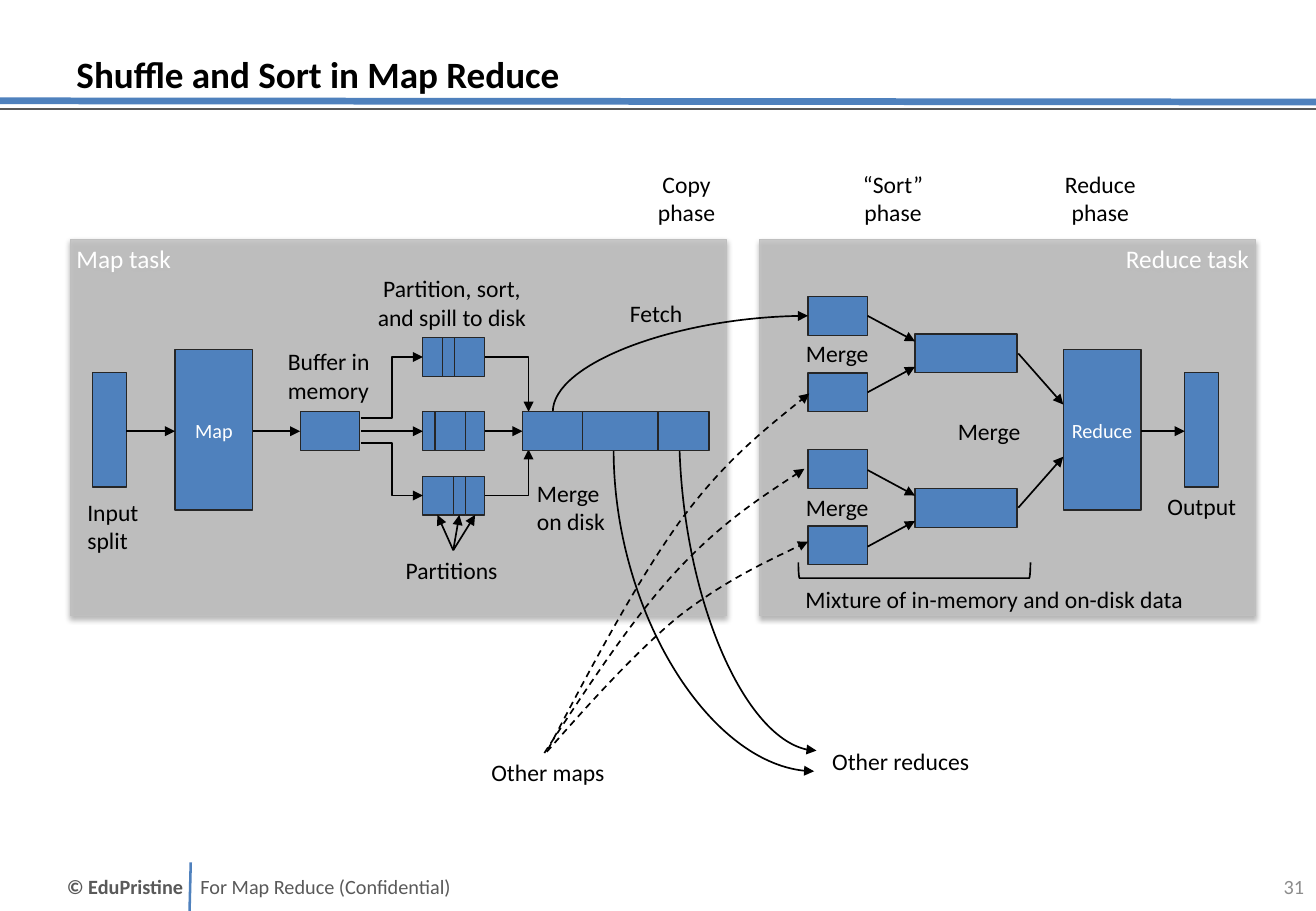
from lxml import etree
from pptx import Presentation
from pptx.dml.color import RGBColor
from pptx.enum.dml import MSO_LINE
from pptx.enum.shapes import MSO_CONNECTOR, MSO_SHAPE
from pptx.enum.text import MSO_ANCHOR, PP_ALIGN
from pptx.oxml.ns import qn
from pptx.util import Inches, Pt

BLUE = RGBColor(0x4F, 0x81, 0xBD)
GREY = RGBColor(0xBF, 0xBF, 0xBF)
SLATE = RGBColor(0x59, 0x59, 0x59)
PALE = RGBColor(0x8C, 0x8C, 0x8C)
EDGE = RGBColor(0x26, 0x26, 0x26)
BLACK = RGBColor(0, 0, 0)
WHITE = RGBColor(0xFF, 0xFF, 0xFF)
LEFT, MID, RIGHT = PP_ALIGN.LEFT, PP_ALIGN.CENTER, PP_ALIGN.RIGHT
TOP, CENTRE, BASE = MSO_ANCHOR.TOP, MSO_ANCHOR.MIDDLE, MSO_ANCHOR.BOTTOM
RECT, BRACKET = MSO_SHAPE.RECTANGLE, MSO_SHAPE.LEFT_BRACKET
LINE, ELBOW, CURVE = MSO_CONNECTOR.STRAIGHT, MSO_CONNECTOR.ELBOW, MSO_CONNECTOR.CURVE
DASH = MSO_LINE.DASH
FONT = "Calibri"
COLS, ROWS = 108.3, 75  # grid of square cells
CELL = 0.1  # inches


def grid(*cells):
    return [Inches(n * CELL) for n in cells]


def add(parent, tag, **attrs):
    return etree.SubElement(parent, qn(tag), {k: str(v) for k, v in attrs.items()})


def write(frame, text, size=14, color=BLACK, bold=False, align=LEFT, anchor=TOP,
          pad=(1, 0.5), wrap=False, lead=None):
    """Fill a text frame; pad is (side, top and bottom) in cells."""
    frame.word_wrap = wrap
    frame.vertical_anchor = anchor
    frame.margin_left = frame.margin_right = grid(pad[0])[0]
    frame.margin_top = frame.margin_bottom = grid(pad[1])[0]
    para = frame.paragraphs[0]
    para.text = text
    para.alignment = align
    if lead:
        para.line_spacing = Pt(lead)
    for run in para.runs:
        run.font.name = FONT
        run.font.size = Pt(size)
        run.font.bold = bold
        run.font.color.rgb = color


class Board:
    def __init__(self):
        self.deck = Presentation()
        self.deck.slide_width, self.deck.slide_height = grid(COLS, ROWS)
        self.slide = self.deck.slides.add_slide(self.deck.slide_layouts[6])
        self.shapes = self.slide.shapes

    def label(self, x, y, w, h, text, **style):
        write(self.shapes.add_textbox(*grid(x, y, w, h)).text_frame, text, **style)

    def box(self, x, y, w, h, text="", fill=BLUE, edge=EDGE, **style):
        shape = self.shapes.add_shape(RECT, *grid(x, y, w, h))
        shape.shadow.inherit = False
        shape.fill.solid()
        shape.fill.fore_color.rgb = fill
        shape.line.color.rgb = edge
        shape.line.width = Pt(0.75)
        if text:
            write(shape.text_frame, text, color=WHITE, wrap=True, **style)
        return shape

    def panel(self, x, y, w, h, text, align):
        """A translucent task area with a soft shadow below."""
        prop = self.box(x, y, w, h, text, GREY, GREY, size=15, align=align,
                        pad=(0.5, 0.3)).element.spPr
        add(prop.find(".//" + qn("a:srgbClr")), "a:alpha", val=80000)
        glow = add(prop.find(qn("a:effectLst")), "a:outerShdw", blurRad=Pt(3.1),
                   dist=Pt(1.8), dir=5400000, rotWithShape=0)
        add(add(glow, "a:srgbClr", val="000000"), "a:alpha", val=35000)

    def strip(self, x, y, widths):
        """Boxes side by side, one per width."""
        for n, w in enumerate(widths):
            self.box(x + sum(widths[:n]), y, w, 3.2)

    def stroke(self, shape, color=BLACK, width=1, end=None, dash=None):
        shape.line.color.rgb = color
        shape.line.width = Pt(width)
        if dash:
            shape.line.dash_style = dash
        if end:
            add(shape.element.spPr.find(qn("a:ln")), end, type="triangle")

    def link(self, x1, y1, x2, y2, kind=LINE, form=None, end="a:tailEnd", **style):
        wire = self.shapes.add_connector(kind, *grid(x1, y1, x2, y2))
        if form:
            wire.element.spPr.find(qn("a:prstGeom")).set("prst", form)
        self.stroke(wire, end=end, **style)
        add(wire.element.spPr, "a:effectLst")

    def sweep(self, start, *points):
        """A dashed arrow of cubic curves, three points to a curve."""
        pen = self.shapes.build_freeform(*grid(*start))
        pen.add_line_segments([grid(*p) for p in points], close=False)
        shape = pen.convert_to_shape()
        shape.shadow.inherit = False
        shape.fill.background()
        self.stroke(shape, end="a:tailEnd", dash=DASH)
        trace = next(shape.element.iter(qn("a:path")))
        steps = trace.findall(qn("a:lnTo"))
        for n in range(0, len(steps), 3):
            cubic = add(trace, "a:cubicBezTo")
            for step in steps[n:n + 3]:
                cubic.append(step[0])
                trace.remove(step)

    def bracket(self, x, y, w, h, turn):
        shape = self.shapes.add_shape(BRACKET, *grid(x, y, w, h))
        shape.rotation = turn
        shape.shadow.inherit = False
        shape.fill.background()
        self.stroke(shape)


def frame(b):
    """Title, rules and footer."""
    b.label(5.5, 71, 15.3, 4, "© EduPristine", size=12, color=SLATE, bold=True,
            anchor=CENTRE, pad=(0, 0.5), wrap=True)
    b.link(15.7, 71, 15.6, 75, color=BLUE, width=1.5, end=None)
    b.label(16.5, 71, 34.3, 4, "For Map Reduce (Confidential)", size=12, color=SLATE,
            anchor=CENTRE, pad=(0, 0.5), wrap=True)
    b.link(0, 8.3, COLS, 8.4, color=BLUE, width=4, end=None)
    b.link(0, 9, COLS, 9, color=SLATE, end=None)
    b.label(5.8, 0.7, 88.6, 7.7, "Shuffle and Sort in Map Reduce", size=22, bold=True,
            anchor=BASE, pad=(0.5, 0.5), wrap=True, lead=22)
    b.label(102.9, 71, 5.4, 4, "31", size=12, color=PALE, align=RIGHT, anchor=CENTRE, wrap=True)


def tasks(b):
    """Both task areas, with their boxes and arrows."""
    b.panel(5.8, 19.7, 54, 31, "Map task", LEFT)
    b.panel(62.5, 19.7, 40.8, 31, "Reduce task", RIGHT)
    for x in (7.6, 97.5):
        b.box(x, 30.7, 2.8, 9.4)
    for x, name in ((14.4, "Map"), (87.5, "Reduce")):
        b.box(x, 28.8, 6.4, 13.2, name, size=12, align=MID, anchor=CENTRE, pad=(0.2, 0.5))
    b.box(24.7, 33.9, 4.9, 3.2)
    for y, widths in ((27.8, (1.6, 1, 2.5)), (33.9, (1, 2.5, 1.6)), (39.2, (2.5, 1, 1.6))):
        b.strip(34.8, y, widths)
    for n in range(4):
        b.box(66.5, 24.4 + 6.3 * n, 4.9, 3.2)
    for y, slope in ((27.5, 1), (40.2, -1)):
        b.box(75.3, y, 8.4, 3.2)
        b.link(71.4, y - 1.5, 75.3, y + 0.6)
        b.link(71.4, y + 4.8, 75.3, y + 2.7)
        mid = y + 1.6
        b.link(83.8, mid, 87.5, mid + 4.2 * slope)
    for x1, x2 in ((10.4, 14.4), (20.8, 24.7), (29.7, 34.8), (39.9, 43), (93.9, 97.5)):
        b.link(x1, 35.5, x2, 35.5)
    for y1, y2, y3 in ((34.4, 29.4, 33.9), (36.5, 40.8, 37)):
        b.link(29.7, y1, 34.8, y2, ELBOW)
        b.link(39.9, y2, 43.5, y3, ELBOW, "bentConnector2")
    for x in (36, 37.8, 39.1):
        b.link(37.3, 45.3, x, 42.4)
    b.bracket(74.6, 37.4, 1.3, 19.1, 270)


def flows(b):
    """Curves between the tasks, then the merged file over their ends."""
    for x1, y1, x2, y2 in ((66.5, 26, 45.5, 33.9), (67.2, 61.8, 55.9, 35.3),
                           (67, 63.5, 50.5, 37)):
        b.link(x1, y1, x2, y2, CURVE, "curvedConnector2", "a:headEnd")
    b.strip(43, 33.9, (4.95, 6.2, 4.2))
    b.sweep((45.1, 61.7), (48.7, 54.8), (52.4, 47.9), (55.9, 43),
            (59.5, 38.1), (63, 35.3), (66.6, 32.4))
    b.sweep((44.8, 62), (48.4, 56.5), (52, 51), (55.6, 47.1),
            (59.2, 43.2), (62.7, 40.9), (66.2, 38.6))
    b.sweep((45, 61.9), (48.6, 57.8), (52.3, 53.7), (55.8, 50.8),
            (59.4, 48), (62.9, 46.3), (66.5, 44.6))


def labels(b):
    for x, y, w, text, align in (
            (6.2, 40.5, 6.3, "Input\nsplit", LEFT),
            (22.7, 28.1, 8.8, "Buffer in\nmemory", LEFT),
            (32.4, 45.3, 9.7, "Partitions", LEFT),
            (43.2, 38.9, 7.7, "Merge\non disk", LEFT),
            (30, 22.1, 14.4, "Partition, sort,\nand spill to disk", MID),
            (95, 40, 7.8, "Output", MID),
            (39.4, 61.9, 11.4, "Other maps", MID),
            (77.8, 33.8, 7.2, "Merge", MID),
            (65.3, 27.4, 7.2, "Merge", MID),
            (65.3, 40.1, 7.2, "Merge", MID),
            (65.3, 47.7, 34, "Mixture of in-memory and on-disk data", LEFT),
            (67.5, 61, 13.4, "Other reduces", LEFT),
            (50.8, 24.1, 6.4, "Fetch", MID),
            (53.1, 13.5, 6.8, "Copy\nphase", MID),
            (70, 13.5, 7, "“Sort”\nphase", MID),
            (86.6, 13.5, 7.9, "Reduce\nphase", MID)):
        b.label(x, y, w, 5.7 if "\n" in text else 3.4, text, align=align)


def main():
    board = Board()
    for part in (frame, tasks, flows, labels):
        part(board)
    board.deck.save("out.pptx")


if __name__ == "__main__":
    main()
